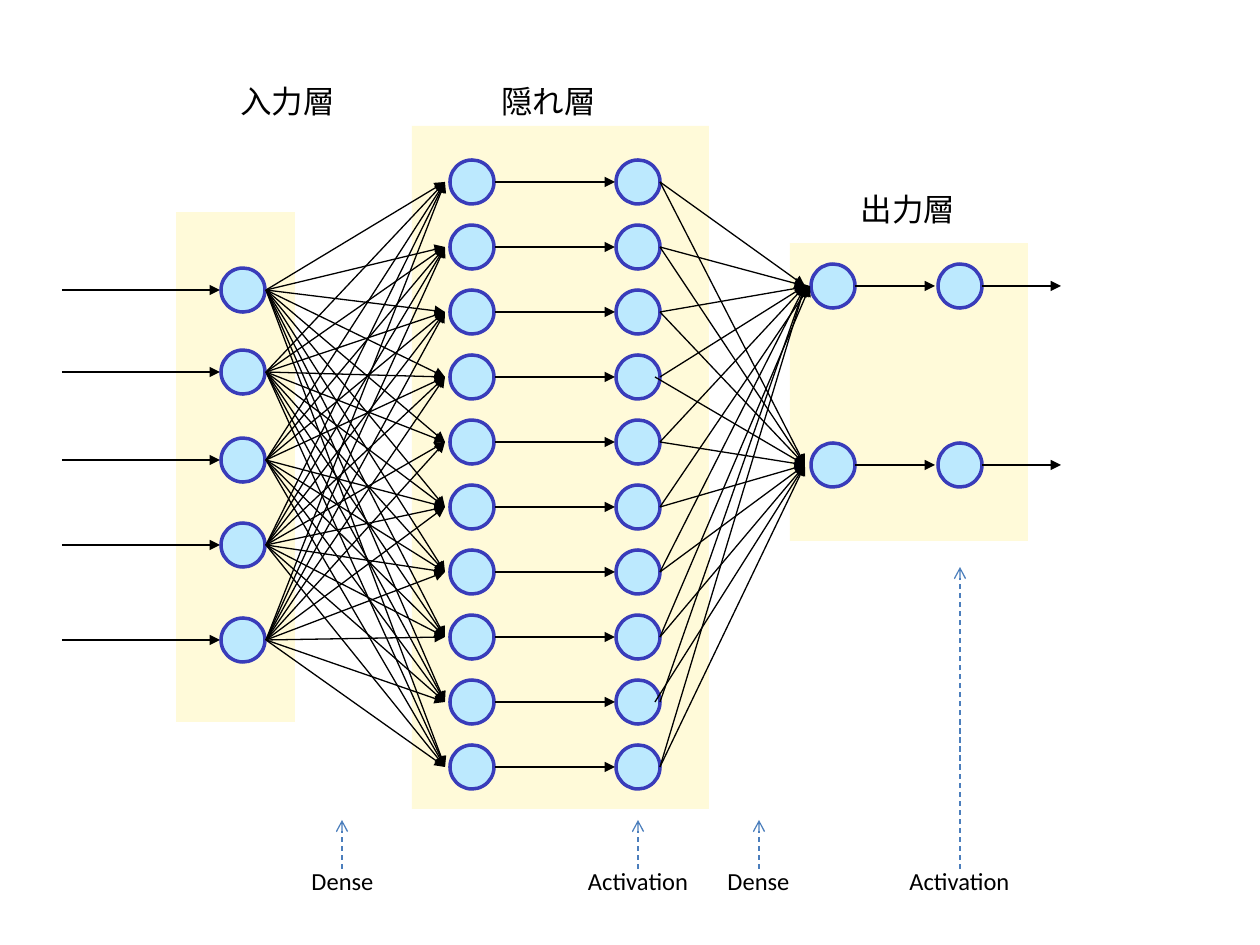
from dataclasses import dataclass
from itertools import product

from lxml.etree import SubElement
from pptx import Presentation
from pptx.dml.color import RGBColor
from pptx.enum.dml import MSO_LINE
from pptx.enum.shapes import MSO_CONNECTOR, MSO_SHAPE
from pptx.enum.text import MSO_AUTO_SIZE, PP_ALIGN
from pptx.oxml.ns import qn
from pptx.util import Emu, Pt

EMU_PER_PX = 914400 / 126


def px(length):
    return Emu(round(length * EMU_PER_PX))


@dataclass(frozen=True)
class Theme:
    band: RGBColor = RGBColor(0xFF, 0xFA, 0xD9)
    node: RGBColor = RGBColor(0xBC, 0xE9, 0xFE)
    node_edge: RGBColor = RGBColor(0x39, 0x3C, 0xBA)
    ink: RGBColor = RGBColor(0, 0, 0)
    pointer: RGBColor = RGBColor(0x4B, 0x7E, 0xBC)
    font: str = "Calibri"
    title_size: int = 18
    label_size: int = 14
    arrow_width: float = 0.75
    node_edge_width: int = 2


class NetworkDiagram:
    RADIUS = 22

    def __init__(self, slide, theme):
        self.shapes = slide.shapes
        self.theme = theme

    def filled(self, preset, left, top, width, height, color):
        shape = self.shapes.add_shape(preset, px(left), px(top), px(width), px(height))
        shape.shadow.inherit = False
        shape.fill.solid()
        shape.fill.fore_color.rgb = color
        return shape

    def band(self, left, top, width, height):
        band = self.filled(MSO_SHAPE.RECTANGLE, left, top, width, height, self.theme.band)
        band.line.fill.background()

    def node(self, x, y):
        """Draw a neuron centred on (x, y)."""
        r = self.RADIUS
        node = self.filled(MSO_SHAPE.OVAL, x - r, y - r, 2 * r, 2 * r, self.theme.node)
        node.line.color.rgb = self.theme.node_edge
        node.line.width = Pt(self.theme.node_edge_width)

    def arrow(self, start, end, head="triangle", color=None, dash=None):
        link = self.shapes.add_connector(
            MSO_CONNECTOR.STRAIGHT, *(px(value) for value in (*start, *end)))
        link.line.color.rgb = color or self.theme.ink
        link.line.width = Pt(self.theme.arrow_width)
        if dash:
            link.line.dash_style = dash
        properties = link._element.spPr
        SubElement(properties.find(qn("a:ln")), qn("a:tailEnd"), type=head)
        SubElement(properties, qn("a:effectLst"))

    def pointer(self, x, bottom, top):
        self.arrow((x, bottom), (x, top), "arrow", self.theme.pointer, MSO_LINE.DASH)

    def text(self, wording, left, top, width, height, size, align=PP_ALIGN.CENTER):
        box = self.shapes.add_textbox(px(left), px(top), px(width), px(height))
        frame = box.text_frame
        frame.word_wrap = True
        frame.auto_size = MSO_AUTO_SIZE.SHAPE_TO_FIT_TEXT
        frame.text = wording
        paragraph = frame.paragraphs[0]
        paragraph.alignment = align
        font = paragraph.runs[0].font
        font.name = self.theme.font
        font.size = Pt(size)
        font.color.rgb = self.theme.ink


def main():
    deck = Presentation()
    deck.slide_width, deck.slide_height = px(1260), px(945)
    theme = Theme()
    diagram = NetworkDiagram(deck.slides.add_slide(deck.slide_layouts[6]), theme)

    input_rows = (290, 372, 460, 545, 640)
    hidden_rows = [182 + 65 * i for i in range(10)]
    output_rows = (286, 465)

    diagram.band(790, 243, 238, 298)
    for title, left, top, width, align in (
        ("入力層", 228, 76, 123, PP_ALIGN.LEFT),
        ("出力層", 789, 184, 238, PP_ALIGN.CENTER),
        ("隠れ層", 489, 76, 123, PP_ALIGN.LEFT),
    ):
        diagram.text(title, left, top, width, 50, theme.title_size, align)

    diagram.band(412, 126, 297, 683)
    for y in hidden_rows:
        diagram.node(638, y)
        diagram.node(472, y)
        diagram.arrow((495, y), (615, y))

    diagram.band(176, 212, 119, 510)
    for y in input_rows:
        diagram.arrow((62, y), (220, y))
        diagram.node(243, y)

    for y in output_rows:
        diagram.node(833, y)
        diagram.node(960, y)
        diagram.arrow((855, y), (935, y))
        diagram.arrow((982, y), (1061, y))

    unlinked = {(input_rows[2], hidden_rows[4])}
    for source, target in product(input_rows, hidden_rows):
        if (source, target) not in unlinked:
            diagram.arrow((266, source), (445, target))

    touching_upper, inset_lower = (2, 5, 7), (3, 8)
    upper, lower = output_rows
    for i, y in enumerate(hidden_rows):
        diagram.arrow((660, y), (810 if i in touching_upper else 805, upper))
    for i, y in enumerate(hidden_rows):
        diagram.arrow((655 if i in inset_lower else 660, y), (805, lower))

    for step, center, pointer_x, pointer_top, width in (
        ("Dense", 342, 342, 820, 105),
        ("Activation", 638, 638, 820, 130),
        ("Dense", 758, 759, 820, 105),
        ("Activation", 959, 960, 567, 149),
    ):
        diagram.pointer(pointer_x, 869, pointer_top)
        diagram.text(step, center - width // 2, 860, width, 43, theme.label_size)

    deck.save("out.pptx")


if __name__ == "__main__":
    main()
